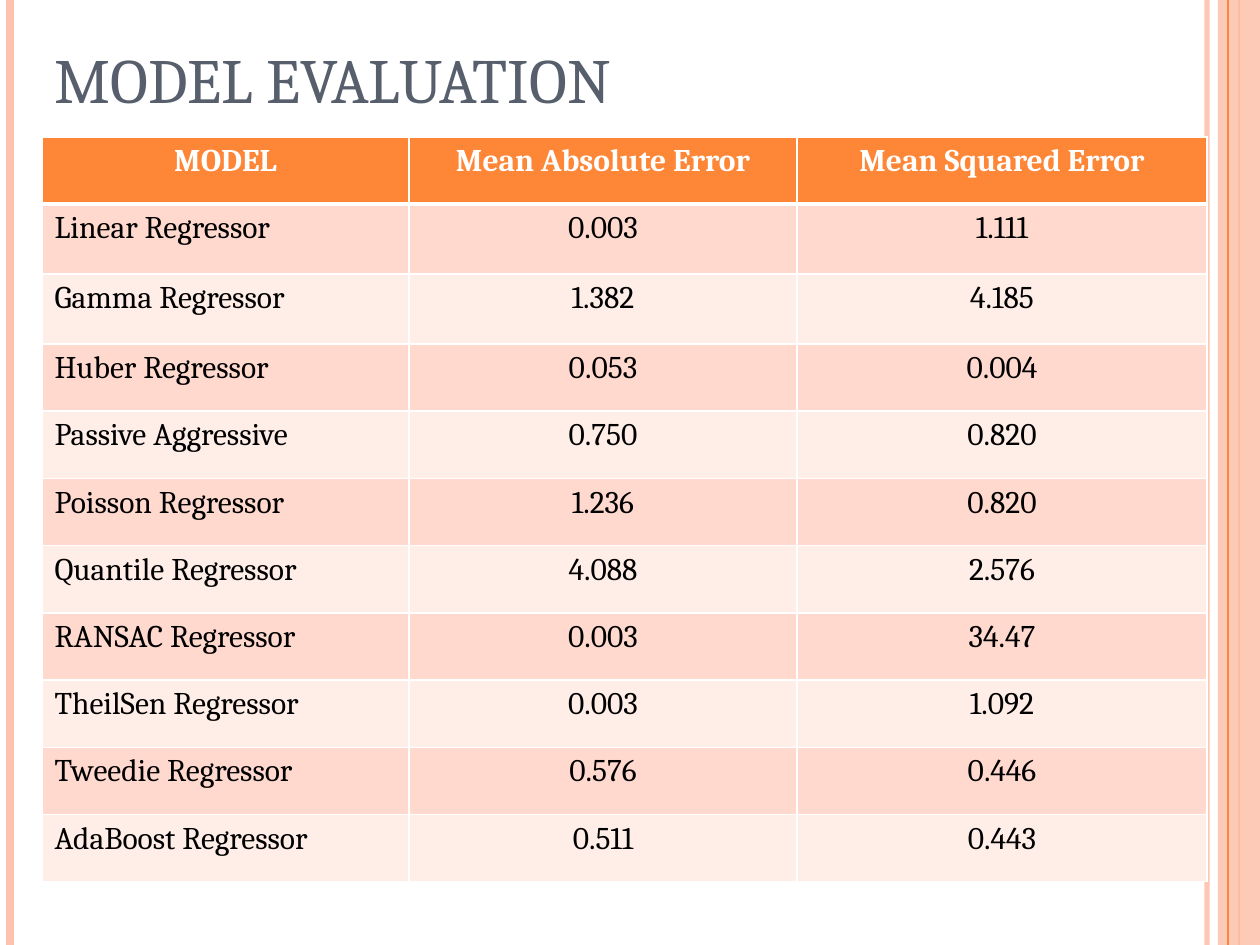
import pptx
import pptx.dml.color
import pptx.enum.shapes
import pptx.enum.text
import pptx.oxml
import pptx.oxml.ns
import pptx.util

SCALE = 914400 / 126
FONT = "Cambria"
COLOURS = {
    "orange": "FE8637",
    "peach": "FEC3AE",
    "slate": "575F6D",
    "white": "FFFFFF",
    "black": "000000",
    "band_dark": "FFD9CE",
    "band_light": "FFEDE8",
}
ALIGN = pptx.enum.text.PP_ALIGN

HEADER = ("MODEL", "Mean Absolute Error", "Mean Squared Error")
RESULTS = [
    ("Linear Regressor", "0.003", "1.111"),
    ("Gamma Regressor", "1.382", "4.185"),
    ("Huber Regressor", "0.053", "0.004"),
    ("Passive Aggressive", "0.750", "0.820"),
    ("Poisson Regressor", "1.236", "0.820"),
    ("Quantile Regressor", "4.088", "2.576"),
    ("RANSAC Regressor", "0.003", "34.47"),
    ("TheilSen Regressor", "0.003", "1.092"),
    ("Tweedie Regressor", "0.576", "0.446"),
    ("AdaBoost Regressor", "0.511", "0.443"),
]


def px(length):
    return pptx.util.Emu(round(length * SCALE))


def colour(name):
    return pptx.dml.color.RGBColor.from_string(COLOURS[name])


def write_text(frame, text, size=18, color="black", bold=False, align=ALIGN.LEFT):
    paragraph = frame.paragraphs[0]
    paragraph.alignment = align
    run = paragraph.add_run()
    run.text = text
    run.font.name = FONT
    run.font.size = pptx.util.Pt(size)
    run.font.bold = bold
    run.font.color.rgb = colour(color)


def add_child(parent, tag, **attributes):
    child = pptx.oxml.parse_xml(f"<a:{tag} {pptx.oxml.ns.nsdecls('a')}/>")
    for name, value in attributes.items():
        child.set(name, str(value))
    parent.append(child)
    return child


def set_opacity(fill_parent, percent):
    for solid in fill_parent.iter(pptx.oxml.ns.qn("a:srgbClr")):
        add_child(solid, "alpha", val=percent * 1000)


class SlideBuilder:
    def __init__(self, presentation):
        self.height = 945
        self.slide = presentation.slides.add_slide(presentation.slide_layouts[6])

    def vertical_line(self, x, color, width, opacity=100):
        line = self.slide.shapes.add_connector(
            pptx.enum.shapes.MSO_CONNECTOR.STRAIGHT, px(x), 0, px(x), px(self.height))
        line.line.color.rgb = colour(color)
        line.line.width = pptx.util.Pt(width)
        properties = line._element.spPr
        if opacity < 100:
            set_opacity(properties, opacity)
        add_child(properties, "effectLst")

    def vertical_band(self, x, width, color, opacity):
        shape = self.slide.shapes.add_shape(
            pptx.enum.shapes.MSO_SHAPE.RECTANGLE, px(x), 0, px(width), px(self.height))
        shape.shadow.inherit = False
        shape.fill.solid()
        shape.fill.fore_color.rgb = colour(color)
        shape.line.fill.background()
        set_opacity(shape._element.spPr, opacity)

    def title(self, text, x, y, width, height):
        frame = self.slide.shapes.add_textbox(px(x), px(y), px(width), px(height)).text_frame
        frame.word_wrap = True
        frame.vertical_anchor = pptx.enum.text.MSO_ANCHOR.BOTTOM
        write_text(frame, text, size=36, color="slate")

    def cell_borders(self, cell, top, bottom):
        properties = cell._tc.get_or_add_tcPr()
        for tag, width in (("lnL", 1), ("lnR", 1), ("lnT", top), ("lnB", bottom)):
            border = add_child(properties, tag, w=pptx.util.Pt(width))
            add_child(add_child(border, "solidFill"), "srgbClr", val=COLOURS["white"])

    def table(self, x, y, column_widths, row_heights, rows):
        table = self.slide.shapes.add_table(
            len(rows), len(column_widths), px(x), px(y),
            px(sum(column_widths)), px(sum(row_heights))).table
        for column, width in zip(table.columns, column_widths):
            column.width = px(width)
        for row_index, (values, height) in enumerate(zip(rows, row_heights)):
            table.rows[row_index].height = px(height)
            header = row_index == 0
            band = "band_dark" if row_index % 2 else "band_light"
            for column_index, value in enumerate(values):
                cell = table.cell(row_index, column_index)
                self.cell_borders(cell, 3 if row_index == 1 else 1, 3 if header else 1)
                cell.fill.solid()
                cell.fill.fore_color.rgb = colour("orange" if header else band)
                write_text(
                    cell.text_frame, value, bold=header,
                    color="white" if header else "black",
                    align=ALIGN.CENTER if header or column_index else ALIGN.LEFT)


def main():
    presentation = pptx.Presentation()
    presentation.slide_width = px(1260)
    presentation.slide_height = px(945)

    builder = SlideBuilder(presentation)
    builder.vertical_line(1207, "peach", 3, opacity=93)
    builder.vertical_line(10, "peach", 4.5)
    builder.vertical_line(1239, "orange", 1.5)
    builder.vertical_band(1218, 42, "peach", opacity=87)
    builder.vertical_line(1228, "orange", 0.75)
    builder.title("MODEL EVALUATION", 42, 32, 1029, 90)

    first_rows = [67, 70, 70]
    remaining = len(RESULTS) + 1 - len(first_rows)
    row_height = (745 - sum(first_rows)) / remaining
    builder.table(42, 137, [367, 388, 410],
                  first_rows + [row_height] * remaining, [HEADER] + RESULTS)
    presentation.save("out.pptx")


if __name__ == "__main__":
    main()
